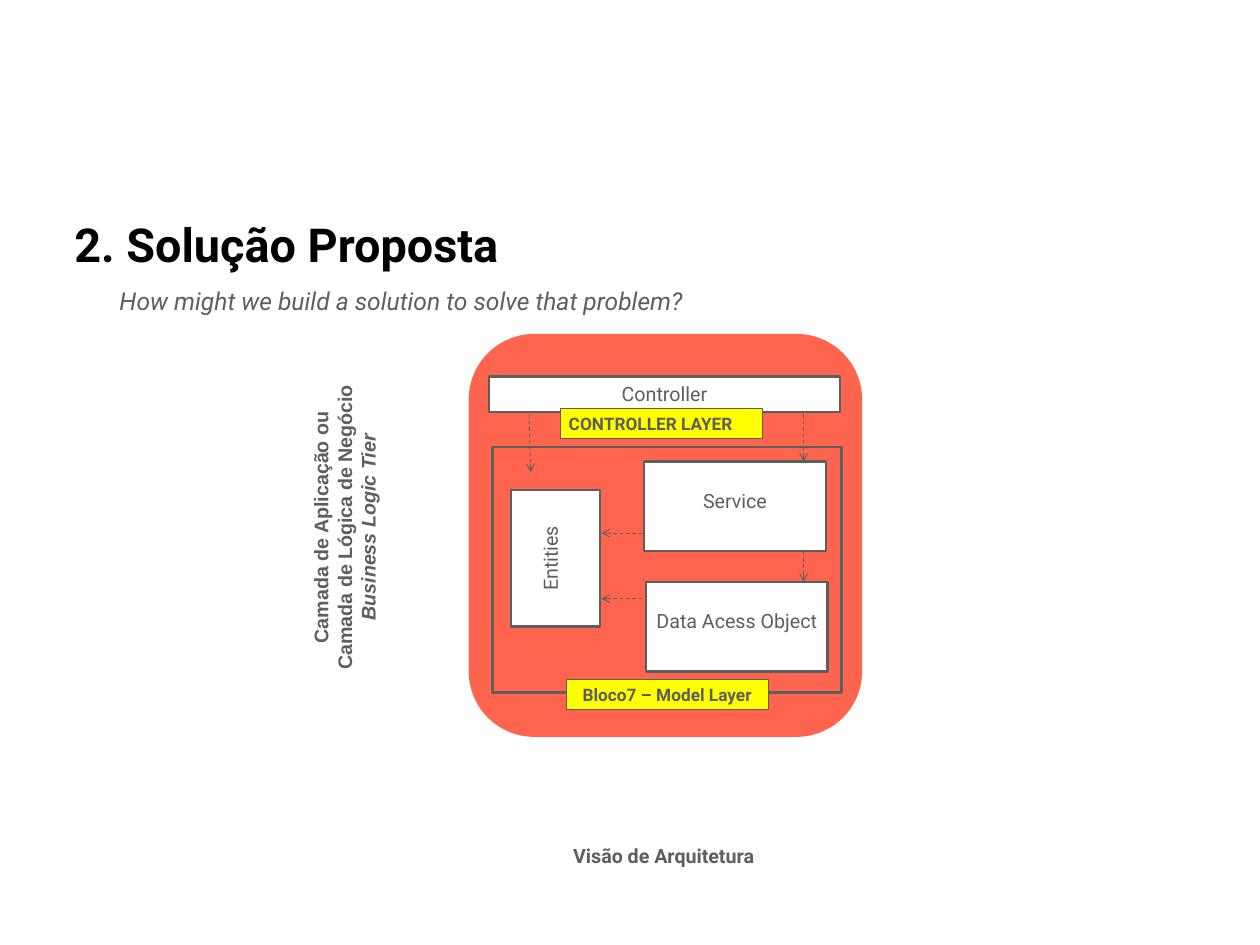
from lxml.etree import SubElement
from pptx import Presentation
from pptx.dml.color import RGBColor
from pptx.enum.dml import MSO_LINE
from pptx.enum.shapes import MSO_CONNECTOR, MSO_SHAPE
from pptx.enum.text import MSO_ANCHOR as ANCHOR, PP_ALIGN as ALIGN
from pptx.oxml.ns import qn
from pptx.util import Pt

PX = 9144  # 100 px to the inch
WIDTH, HEIGHT = 1422, 1067

THEME = {
    "black": "000000", "grey": "5E5E5E", "tag_edge": "5C5C5C",
    "coral": "FF644E", "white": "FFFFFF", "yellow": "FFFF00",
    "title": 38, "subtitle": 20, "body": 16, "tag": 14,
    "border": 2, "hairline": 0.75,
}

# Fonts
BODY = {"name": "Roboto", "size": "body", "color": "grey"}
BOLD = BODY | {"bold": True}
TIER = BOLD | {"name": "Arial"}
TAG = BOLD | {"size": "tag"}
TITLE = BOLD | {"size": "title", "color": "black"}
SUBTITLE = BODY | {"size": "subtitle", "italic": True}

# Box styles: fill, line colour, line width
PANEL = ("coral", None, None)
CARD = ("white", "grey", "border")
FRAME = (None, "grey", "border")
LABEL = ("yellow", "tag_edge", "hairline")

# Text frame layouts
CENTERED = {"vertical_anchor": ANCHOR.MIDDLE}
SECOND_LINE = {"vertical_anchor": ANCHOR.TOP, "margin_top": 31 * PX}

# Content: box (left, top, width, height), style, text, font, layout, alignment, rotation
BLOCKS = [
    ((529, 377, 444, 455), PANEL, "", BODY, CENTERED, ALIGN.CENTER, 0),
    ((552, 425, 396, 40), CARD, "Controller", BODY, CENTERED, ALIGN.CENTER, 0),
    ((632, 461, 228, 34), LABEL, "CONTROLLER LAYER", TAG, CENTERED, ALIGN.LEFT, 0),
    ((729, 657, 205, 101), CARD, "Data Acess Object", BODY, SECOND_LINE, ALIGN.CENTER, 0),
    ((550, 580, 154, 101), CARD, "Entities", BODY, SECOND_LINE, ALIGN.CENTER, 270),
    ((727, 521, 205, 101), CARD, "Service", BODY, SECOND_LINE, ALIGN.CENTER, 0),
    ((556, 505, 394, 277), FRAME, "", BODY, CENTERED, ALIGN.CENTER, 0),
    ((639, 767, 228, 34), LABEL, "Bloco7 – Model Layer", TAG, CENTERED, ALIGN.CENTER, 0),
]

DEPENDENCIES = [
    ((907, 468), (907, 521)),  # Controller to Service
    ((907, 623), (907, 657)),  # Service to Data Acess Object
    ((725, 676), (679, 676)),  # Data Acess Object to Entities
    ((725, 602), (679, 602)),  # Service to Entities
    ((597, 468), (599, 533)),  # Controller to Entities
]

# Content: box, lines of (text, font), alignment, rotation, line spacing
CAPTIONS = [
    ((211, 550, 355, 91), [
        ("Camada de Aplicação ou", TIER),
        ("Camada de Lógica de Negócio", TIER),
        ("Business Logic Tier", TIER | {"italic": True}),
    ], ALIGN.CENTER, 270, 1.0),
    ((74, 242, 1269, 75), [("2. Solução Proposta", TITLE)], ALIGN.LEFT, 0, 0.9),
    ((125, 318, 675, 44),
     [("How might we build a solution to solve that problem?", SUBTITLE)], ALIGN.LEFT, 0, 1.0),
    ((637, 948, 240, 37), [("Visão de Arquitetura", BOLD)], ALIGN.LEFT, 0, 1.0),
]


def rgb(role):
    return RGBColor.from_string(THEME[role])


def emu(lengths):
    return [length * PX for length in lengths]


def set_line(line, color, width):
    line.color.rgb = rgb(color)
    line.width = Pt(THEME[width])


def write(frame, lines, align, layout, spacing=1.0):
    frame.word_wrap = True
    for key, value in layout.items():
        setattr(frame, key, value)
    for index, (text, style) in enumerate(lines):
        paragraph = frame.add_paragraph() if index else frame.paragraphs[0]
        paragraph.alignment = align
        paragraph.line_spacing = spacing
        run = paragraph.add_run()
        run.text = text
        values = style | {"size": Pt(THEME[style["size"]])}
        run.font.color.rgb = rgb(values.pop("color"))
        for key, value in values.items():
            setattr(run.font, key, value)


def add_block(slide, box, style, text, font, layout, align, rotation):
    fill, edge, width = style
    preset = MSO_SHAPE.ROUNDED_RECTANGLE if style is PANEL else MSO_SHAPE.RECTANGLE
    block = slide.shapes.add_shape(preset, *emu(box))
    block.shadow.inherit = False
    block.rotation = rotation
    if fill:
        block.fill.solid()
        block.fill.fore_color.rgb = rgb(fill)
    else:
        block.fill.background()
    if edge:
        set_line(block.line, edge, width)
    else:
        block.line.fill.background()
    if text:
        write(block.text_frame, [(text, font)], align, layout)


def add_dependency(slide, start, end):
    arrow = slide.shapes.add_connector(MSO_CONNECTOR.STRAIGHT, *emu(start + end))
    set_line(arrow.line, "grey", "hairline")
    arrow.line.dash_style = MSO_LINE.DASH
    SubElement(arrow.line._get_or_add_ln(), qn("a:tailEnd"), type="arrow")
    SubElement(arrow._element.spPr, qn("a:effectLst"))


def add_caption(slide, box, lines, align, rotation, spacing):
    caption = slide.shapes.add_textbox(*emu(box))
    caption.rotation = rotation
    write(caption.text_frame, lines, align, CENTERED, spacing)


def main():
    deck = Presentation()
    deck.slide_width, deck.slide_height = emu((WIDTH, HEIGHT))
    slide = deck.slides.add_slide(deck.slide_layouts[6])
    # Architecture diagram
    for block in BLOCKS:
        add_block(slide, *block)
    for dependency in DEPENDENCIES:
        add_dependency(slide, *dependency)
    # Title and captions
    for caption in CAPTIONS:
        add_caption(slide, *caption)
    deck.save("out.pptx")


if __name__ == "__main__":
    main()
